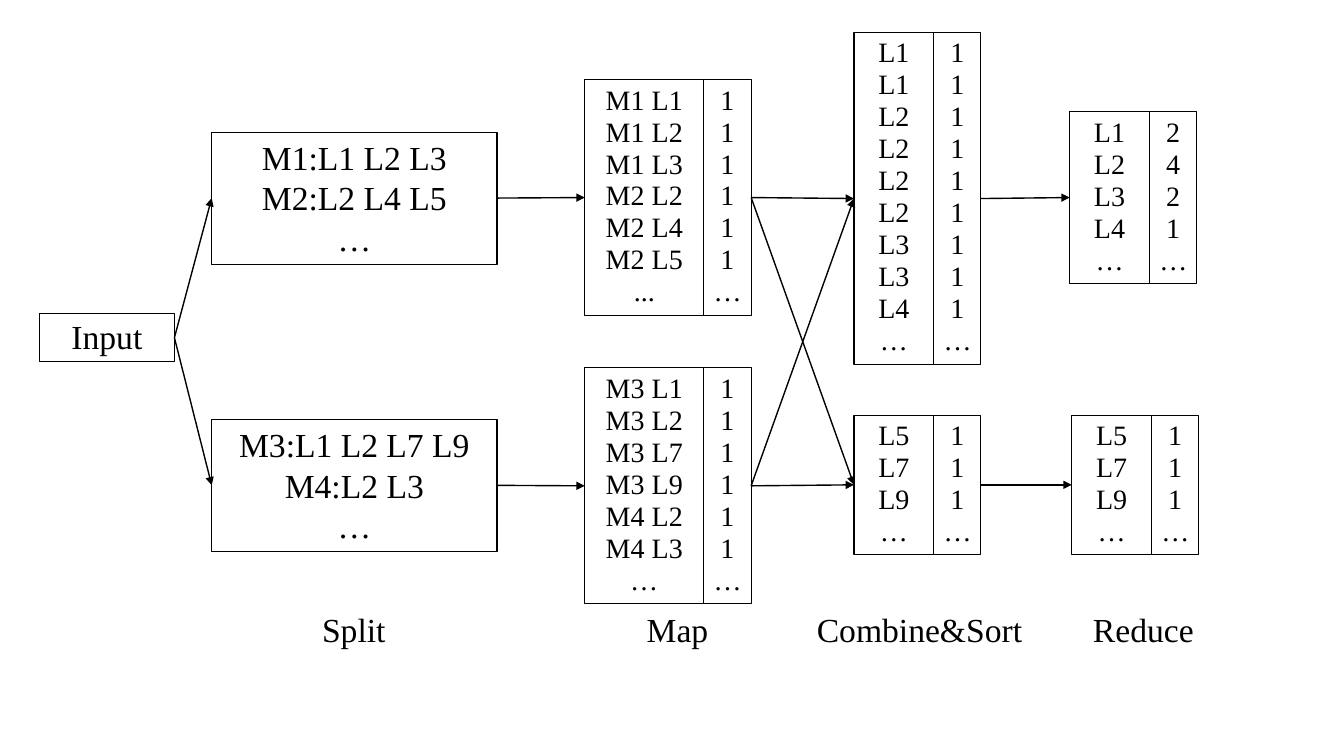
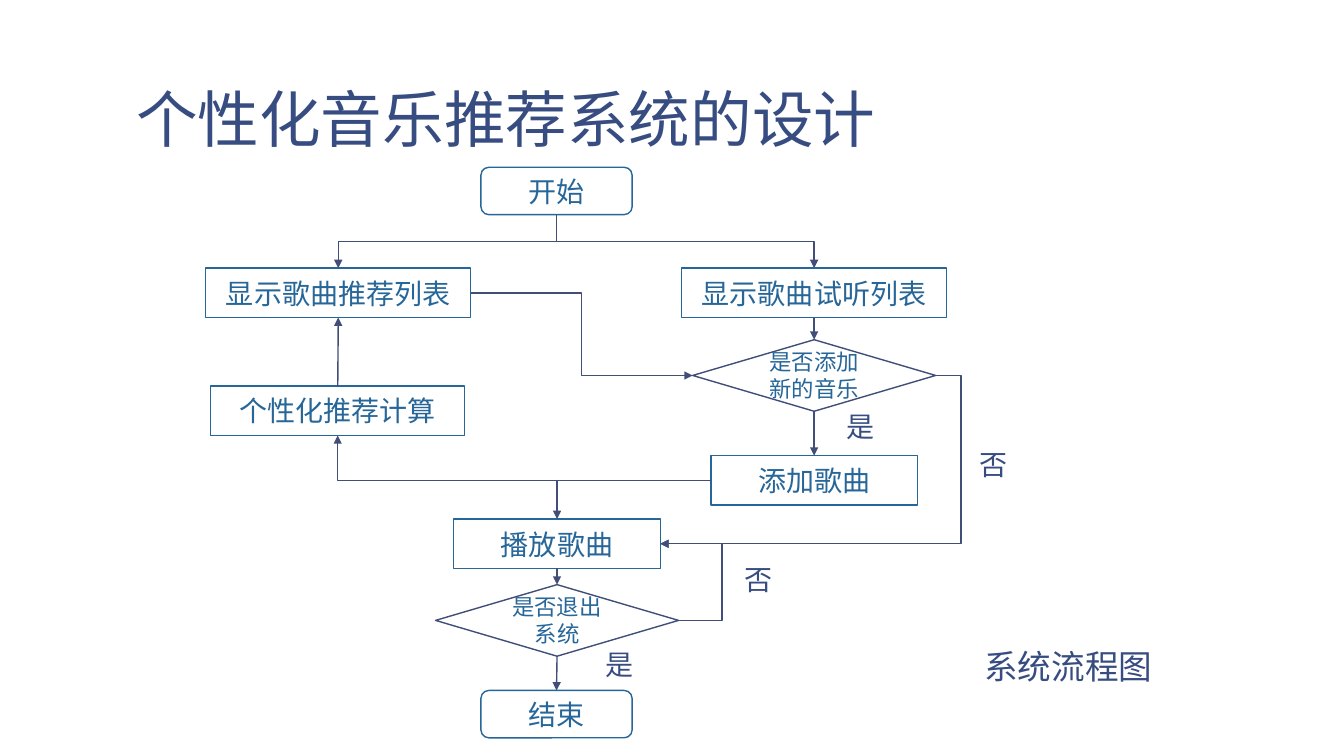
from lxml import etree
from pptx import Presentation
from pptx.dml.color import RGBColor
from pptx.enum.shapes import MSO_CONNECTOR, MSO_SHAPE
from pptx.enum.text import MSO_ANCHOR, PP_ALIGN
from pptx.oxml.ns import qn
from pptx.util import Emu, Pt

PX = 9144
RECT, ROUNDED, DIAMOND = MSO_SHAPE.RECTANGLE, MSO_SHAPE.ROUNDED_RECTANGLE, MSO_SHAPE.DIAMOND
STRAIGHT, ELBOW = MSO_CONNECTOR.STRAIGHT, MSO_CONNECTOR.ELBOW
ANCHOR_TOP, ANCHOR_MIDDLE, ANCHOR_BOTTOM = MSO_ANCHOR.TOP, MSO_ANCHOR.MIDDLE, MSO_ANCHOR.BOTTOM
ALIGN_LEFT, ALIGN_CENTER = PP_ALIGN.LEFT, PP_ALIGN.CENTER
TOP, LEFT, BOTTOM, RIGHT = range(4)

COLORS = {"black": "000000", "title": "374C81", "step": "276698", "flow": "414E77"}
LATIN = "Times New Roman"
CJK = "Noto Sans CJK SC"
ELLIPSIS = "…"
KEY_WIDTH, COUNT_WIDTH = 79, 47


def px(*lengths):
    return [Emu(length * PX) for length in lengths]


def color(name):
    return RGBColor.from_string(COLORS[name])


def write(frame, lines, size, font, ink, align=ALIGN_CENTER, anchor=ANCHOR_TOP, spacing=None):
    frame.word_wrap = True
    frame.vertical_anchor = anchor
    for index, line in enumerate(lines):
        paragraph = frame.add_paragraph() if index else frame.paragraphs[0]
        paragraph.text = line
        paragraph.alignment = align
        if spacing:
            paragraph.line_spacing = spacing
        paragraph.font.size = Pt(size)
        paragraph.font.name = font
        paragraph.font.color.rgb = color(ink)
        properties = paragraph.font._element
        etree.SubElement(properties, qn("a:ea")).set("typeface", font)


def outlined(slide, geometry, bounds, line, weight):
    shape = slide.shapes.add_shape(geometry, *px(*bounds))
    shape.shadow.inherit = False
    shape.fill.background()
    shape.line.color.rgb = color(line)
    shape.line.width = Pt(weight)
    return shape


def data_box(slide, bounds, lines, size=20, spacing=0.95):
    box = outlined(slide, RECT, bounds, "black", 0.75)
    write(box.text_frame, lines, size, LATIN, "black", spacing=spacing)
    return box


def pair_list(slide, left, top, height, keys, counts, key_width=KEY_WIDTH):
    key_box = data_box(slide, (left, top, key_width, height), keys)
    count_box = data_box(slide, (left + key_width, top, COUNT_WIDTH, height), [*counts, ELLIPSIS])
    return key_box, count_box


def step(slide, bounds, text, geometry=RECT):
    decision = geometry == DIAMOND
    box = outlined(slide, geometry, bounds, "flow" if decision else "step", 1)
    write(box.text_frame, [text], 16 if decision else 20, CJK, "step", anchor=ANCHOR_MIDDLE)
    return box


def label(slide, bounds, text, size, font, ink, align=ALIGN_CENTER):
    box = slide.shapes.add_textbox(*px(*bounds))
    write(box.text_frame, [text], size, font, ink, align, spacing=0.95)


def arrow(slide, source, source_side, target, target_side, line="flow", kind=STRAIGHT):
    connector = slide.shapes.add_connector(kind, 0, 0, 0, 0)
    connector.begin_connect(source, source_side)
    connector.end_connect(target, target_side)
    connector.line.color.rgb = color(line)
    connector.line.width = Pt(1)
    properties = connector._element.spPr
    etree.SubElement(properties.find(qn("a:ln")), qn("a:tailEnd")).set("type", "triangle")
    etree.SubElement(properties, qn("a:effectLst"))
    return connector


def side_arrow(slide, source, target, turn_x=None):
    target_side = LEFT if turn_x is None else RIGHT
    connector = arrow(slide, source, RIGHT, target, target_side, kind=ELBOW)
    if turn_x is not None:
        run = connector.end_x - connector.begin_x
        ratio = round((turn_x * PX - connector.begin_x) / run * 100000)
        adjustments = connector._element.spPr.find(qn("a:prstGeom")).get_or_add_avLst()
        guide = etree.SubElement(adjustments, qn("a:gd"))
        guide.set("name", "adj1")
        guide.set("fmla", f"val {ratio}")


def branch_arrow(slide, source, target):
    connector = arrow(slide, source, BOTTOM, target, TOP, kind=ELBOW)
    rightward = connector.end_x > connector.begin_x
    width, height = connector.width, connector.height
    center_x, center_y = connector.left + width // 2, connector.top + height // 2
    connector.left, connector.top = Emu(center_x - height // 2), Emu(center_y - width // 2)
    connector.width, connector.height = height, width
    transform = connector._element.spPr.find(qn("a:xfrm"))
    transform.set("rot", "5400000")
    transform.set("flipH", "0")
    transform.set("flipV", "1" if rightward else "0")


def corner_arrow(slide, source, target, target_side):
    connector = arrow(slide, source, LEFT, target, target_side, kind=ELBOW)
    connector._element.spPr.find(qn("a:prstGeom")).set("prst", "bentConnector2")


def build_mapreduce(slide):
    source = data_box(slide, (39, 311, 134, 48), ["Input"], 24)
    splits = [
        data_box(slide, (210, top, 283, 131), [*lines, ELLIPSIS], 24, None)
        for top, lines in (
            (131, ["M1:L1 L2 L3", "M2:L2 L4 L5"]),
            (416, ["M3:L1 L2 L7 L9", "M4:L2 L3"]),
        )
    ]
    maps = [
        pair_list(slide, 580, top, 234, keys, "1" * 6, 118)
        for top, keys in (
            (79, ["M1 L1", "M1 L2", "M1 L3", "M2 L2", "M2 L4", "M2 L5", "..."]),
            (365, ["M3 L1", "M3 L2", "M3 L7", "M3 L9", "M4 L2", "M4 L3", ELLIPSIS]),
        )
    ]
    rare_keys = ["L5", "L7", "L9", ELLIPSIS]
    sorted_keys = ["L1", "L1", "L2", "L2", "L2", "L2", "L3", "L3", "L4", ELLIPSIS]
    combined = [
        pair_list(slide, 847, 32, 330, sorted_keys, "1" * 9),
        pair_list(slide, 847, 412, 138, rare_keys, "111"),
    ]
    reduced = [
        pair_list(slide, 1061, 111, 170, ["L1", "L2", "L3", "L4", ELLIPSIS], "2421"),
        pair_list(slide, 1063, 412, 138, rare_keys, "111"),
    ]
    links = []
    for split, mapped, merged, result in zip(splits, maps, combined, reduced):
        links += [(source, split), (split, mapped[0]), (merged[1], result[0])]
        links += [(mapped[1], destination[0]) for destination in combined]
    for start, end in links:
        arrow(slide, start, RIGHT, end, LEFT, "black")

    for left, stage in ((191, "Split"), (512, "Map"), (752, "Combine&Sort"), (974, "Reduce")):
        label(slide, (left, 602, 320, 48), stage, 24, LATIN, "black")


def build_flowchart(slide):
    title = slide.shapes.add_textbox(*px(122, 8, 1111, 153)).text_frame
    title.margin_left, title.margin_right, title.margin_top, title.margin_bottom = px(13, 13, 7, 7)
    write(title, ["个性化音乐推荐系统的设计"], 44, CJK, "title", ALIGN_LEFT, ANCHOR_BOTTOM, 0.85)
    label(slide, (914, 639, 291, 48), "系统流程图", 24, CJK, "title")

    start = step(slide, (477, 166, 150, 47), "开始", ROUNDED)
    recommended = step(slide, (204, 266, 263, 49), "显示歌曲推荐列表")
    audition = step(slide, (676, 266, 263, 49), "显示歌曲试听列表")
    compute = step(slide, (209, 383, 252, 49), "个性化推荐计算")
    ask_add = step(slide, (687, 337, 241, 71), "是否添加新的音乐", DIAMOND)
    add_song = step(slide, (705, 452, 205, 49), "添加歌曲")
    play = step(slide, (450, 515, 205, 49), "播放歌曲")
    ask_exit = step(slide, (432, 580, 241, 71), "是否退出系统", DIAMOND)
    finish = step(slide, (477, 685, 150, 47), "结束", ROUNDED)

    for first, second in ((audition, ask_add), (ask_add, add_song), (play, ask_exit), (ask_exit, finish)):
        arrow(slide, first, BOTTOM, second, TOP)
    arrow(slide, compute, TOP, recommended, BOTTOM)
    for song_list in (recommended, audition):
        branch_arrow(slide, start, song_list)
    side_arrow(slide, recommended, ask_add)
    side_arrow(slide, ask_add, play, 953)
    side_arrow(slide, ask_exit, play, 716)
    corner_arrow(slide, add_song, play, TOP)
    corner_arrow(slide, add_song, compute, BOTTOM)

    for left, top, answer in ((962, 441, "否"), (830, 404, "是"), (591, 640, "是"), (729, 556, "否")):
        label(slide, (left, top, 51, 42), answer, 20, CJK, "title", ALIGN_LEFT)


def main():
    deck = Presentation()
    deck.slide_width, deck.slide_height = px(1333, 750)
    blank = deck.slide_layouts[6]
    for build in (build_mapreduce, build_flowchart):
        build(deck.slides.add_slide(blank))
    deck.save("out.pptx")


if __name__ == "__main__":
    main()
